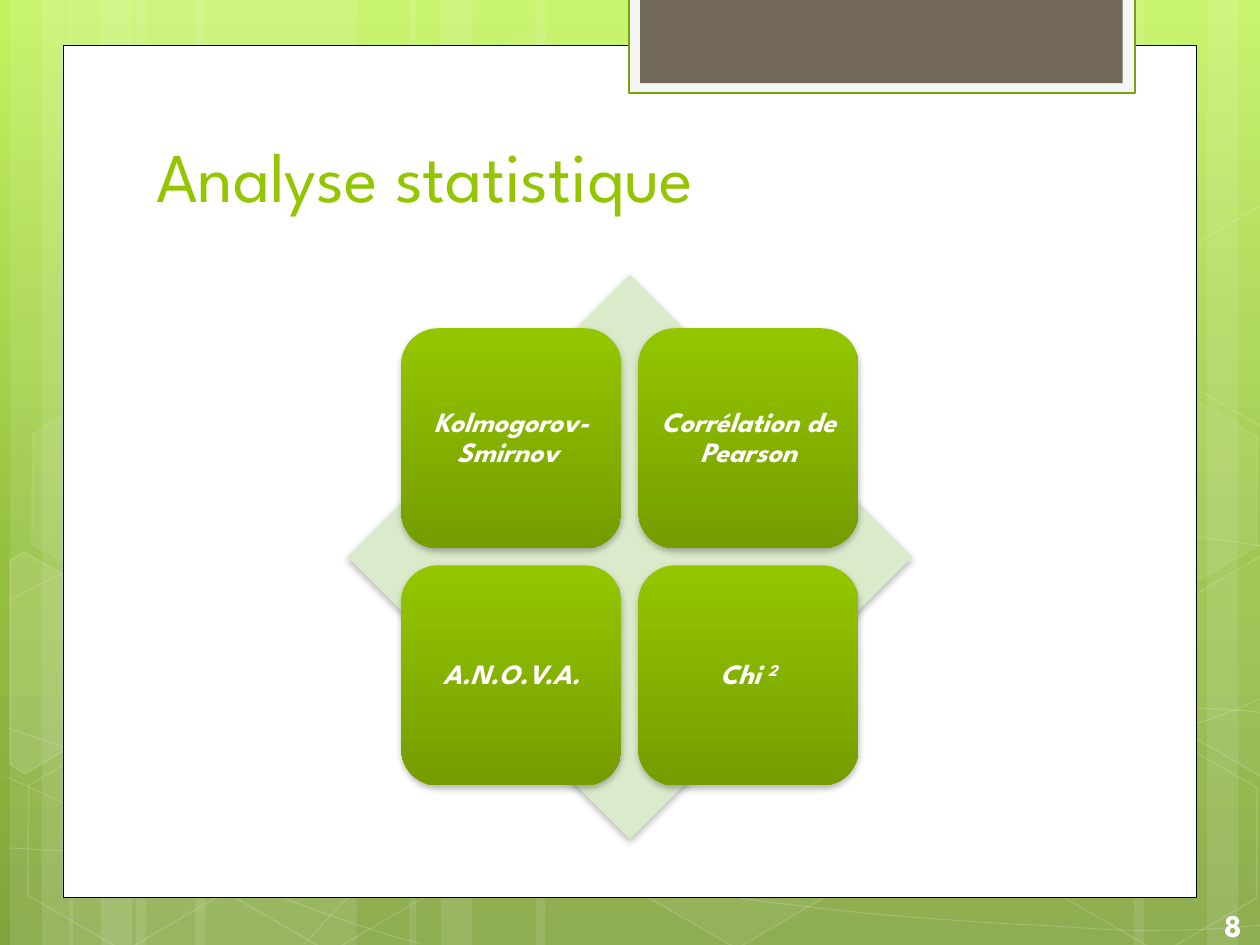
import dataclasses

import lxml.etree
import pptx
import pptx.dml.color
import pptx.enum.shapes
import pptx.enum.text
import pptx.oxml.ns
import pptx.util

Inches = pptx.util.Inches
Pt = pptx.util.Pt
Kind = pptx.enum.shapes.MSO_SHAPE
Align = pptx.enum.text.PP_ALIGN
Anchor = pptx.enum.text.MSO_ANCHOR
qn = pptx.oxml.ns.qn


@dataclasses.dataclass(frozen=True)
class Theme:
    font: str = "League Spartan"
    white: str = "FFFFFF"
    black: str = "000000"
    green: str = "94C600"
    deep: str = "769D00"
    edge: str = "74A510"
    pale: str = "DCEACC"
    frame: str = "F5F5F5"
    brown: str = "71685A"
    sky: tuple = ((0, "C3F35F"), (0.62, "93BF3F"), (1, "81A53E"))
    head: int = 40
    page: int = 18
    label: int = 16


@dataclasses.dataclass(frozen=True)
class Box:
    x: float
    y: float
    w: float
    h: float

    def place(self):
        return [Inches(v) for v in (self.x, self.y, self.w, self.h)]


THEME = Theme()

# Left edge and width of each light bar
BARS = [(left + shift, width) for shift in (0, 0.47)
        for left, width in ((1.08, 1.75), (0.08, 0.5), (0.33, 0.83))]
BARS += [(7.33, 1.75), (9.58, 0.5), (9, 0.83), (4.25, 3.08), (3.25, 0.5), (3.5, 0.83)]

# Start point, then two handles and an end point for each Bézier piece
WAVES = [
    [(0.07, 6.73), (0.61, 6.76), (1.15, 6.79), (1.9, 6.78), (2.65, 6.77), (3.58, 6.75),
     (4.58, 6.65), (5.58, 6.55), (7, 6.36), (7.92, 6.17), (8.83, 5.98), (9.77, 5.68),
     (10.07, 5.51)],
    [(0.07, 4.77), (0.36, 4.61), (0.65, 4.46), (1.21, 4.31), (1.78, 4.16), (2.59, 3.94),
     (3.47, 3.87), (4.36, 3.8), (5.44, 3.79), (6.54, 3.87), (7.64, 3.95), (9.47, 4.26),
     (10.07, 4.34)],
    [(0.06, 6.17), (1.27, 6.72), (2.47, 7.27), (3.34, 7.49)],
    [(0.07, 5.78), (0.38, 5.89), (0.7, 6), (1.28, 6.16), (1.86, 6.31), (2.73, 6.56),
     (3.57, 6.73), (4.4, 6.9), (5.45, 7.08), (6.28, 7.18), (7.11, 7.29), (8, 7.33),
     (8.53, 7.36), (9.05, 7.4), (9.19, 7.38), (9.45, 7.38), (9.71, 7.37), (9.89, 7.35),
     (10.07, 7.34)],
    [(2.42, 7.49), (2.6, 7.29), (2.78, 7.09), (3.02, 6.91), (3.26, 6.73), (3.6, 6.53),
     (3.88, 6.39), (4.16, 6.25), (4.33, 6.19), (4.7, 6.09), (5.06, 5.99), (5.73, 5.85),
     (6.08, 5.78), (6.44, 5.71), (6.49, 5.71), (6.8, 5.69), (7.11, 5.66), (7.6, 5.63),
     (7.94, 5.62), (8.29, 5.61), (8.86, 5.62), (8.86, 5.62), (9.08, 5.62), (9.31, 5.62),
     (9.53, 5.62), (9.71, 5.63), (9.88, 5.64), (9.97, 5.65), (10.06, 5.66), (10.03, 5.65),
     (10.06, 5.66)],
]

# Left, top, fill opacity and line opacity of each hexagon
CELLS = [(3.34, 0.36, 4, 8), (4.97, 5.89, 6, 12), (0.11, 5.91, 0, 12),
         (0.14, 3.12, 7, 8), (1.74, 5.92, 0, 12), (7.53, 4.53, 10, 12),
         (8.34, 5.93, 0, 12), (8.34, 3.14, 7, 8)]

# Hexagons cut off by the slide's edge: corners and fill opacity
CUTS = [
    ([(0.08, 4.45), (0.19, 4.38), (0.96, 4.82), (0.95, 5.7), (0.2, 6.14), (0.08, 6.07)], 10),
    ([(9.26, 4.85), (10.01, 4.41), (10.09, 4.46), (10.09, 6.13), (10.02, 6.17),
      (9.26, 5.73)], 4),
    ([(9.26, 2.07), (10.01, 1.63), (10.1, 1.68), (10.09, 3.35), (10.02, 3.39),
      (9.26, 2.95)], 0),
]

LABELS = [[("Kolmogorov-Smirnov ", 0)], [("Corrélation de Pearson", 0)],
          [("A.N.O.V.A.", 0)], [("Chi ", 0), ("2", 30)]]


def tint(fill, color, alpha=100):
    """Fill with one colour at a percentage of opacity; 0 means no fill."""
    if not alpha:
        fill.background()
        return
    fill.solid()
    fill.fore_color.rgb = pptx.dml.color.RGBColor.from_string(color)
    if alpha < 100:
        node = fill._xPr.find(".//" + qn("a:srgbClr"))
        lxml.etree.SubElement(node, qn("a:alpha"), val=str(alpha * 1000))


def blend(fill, stops):
    """Fill with a gradient from top to bottom."""
    fill.gradient()
    fill.gradient_angle = 270
    nodes = fill._fill._gradFill.find(qn("a:gsLst"))
    for node in list(nodes):
        nodes.remove(node)
    for spot, color in stops:
        stop = lxml.etree.SubElement(nodes, qn("a:gs"), pos=str(round(spot * 100000)))
        lxml.etree.SubElement(stop, qn("a:srgbClr"), val=color)


def style(shape, color=THEME.white, alpha=100, line=None, width=1, clear=100):
    shape.shadow.inherit = False
    tint(shape.fill, color, alpha)
    if line:
        tint(shape.line.fill, line, clear)
        shape.line.width = Pt(width)
    else:
        shape.line.fill.background()
    return shape


def shade(shape):
    """Add a soft shadow below the shape."""
    drop = lxml.etree.SubElement(
        shape._element.spPr.find(qn("a:effectLst")), qn("a:outerShdw"),
        blurRad=str(Pt(4)), dist=str(Pt(2)), dir="5400000", rotWithShape="0")
    color = lxml.etree.SubElement(drop, qn("a:srgbClr"), val=THEME.black)
    lxml.etree.SubElement(color, qn("a:alpha"), val="28000")


def write(para, text, size, color, bold=False, slant=False, rise=0):
    run = para.add_run()
    run.text = text
    font = run.font
    font.name, font.size, font.bold, font.italic = THEME.font, Pt(size), bold, slant
    font.color.rgb = pptx.dml.color.RGBColor.from_string(color)
    if rise:
        run._r.get_or_add_rPr().set("baseline", str(rise * 1000))


def trace(slide, box, knots, close):
    first, *rest = [(Inches(box.x + x), Inches(box.y + y)) for x, y in knots]
    pen = slide.shapes.build_freeform(*first)
    pen.add_line_segments(rest, close=close)
    return pen.convert_to_shape()


def bend(shape):
    """Turn each three straight pieces of the outline into one Bézier piece."""
    route = shape._element.find(".//" + qn("a:path"))
    lines = route.findall(qn("a:lnTo"))
    for i in range(0, len(lines), 3):
        piece = lxml.etree.SubElement(route, qn("a:cubicBezTo"))
        for line in lines[i:i + 3]:
            piece.append(line[0])
            route.remove(line)
    return shape


def scene(slide, box):
    """Draw the backdrop of bars, waves and hexagons."""
    blend(slide.background.fill, THEME.sky)
    add = slide.shapes.add_shape
    for left, width in BARS:
        bar = Box(box.x + left, box.y, width, box.h)
        style(add(Kind.RECTANGLE, *bar.place()), alpha=10)
    for knots in WAVES:
        wave = bend(trace(slide, box, knots, False))
        style(wave, alpha=0, line=THEME.white, width=0.5, clear=20)
    for left, top, alpha, clear in CELLS:
        spot = Box(box.x + left, box.y + top, 1.75, 1.52)
        cell = add(Kind.HEXAGON, *spot.place())
        cell.adjustments[0], cell.adjustments[1] = 0.285, 1.155
        cell.rotation = 30
        style(cell, alpha=alpha, line=THEME.white, clear=clear)
    for knots, alpha in CUTS:
        style(trace(slide, box, knots, True), alpha=alpha, line=THEME.white, clear=12)


def sheet(slide, box):
    """Draw the white page with its tab at the top."""
    add = slide.shapes.add_shape
    style(add(Kind.RECTANGLE, *box.place()), line=THEME.black, width=0.5)
    tab = Box(box.x + 4.49, box.y - 0.38, 4.02, 0.76)
    style(add(Kind.RECTANGLE, *tab.place()), THEME.frame, line=THEME.edge, width=1.25)
    core = Box(tab.x + 0.09, tab.y, tab.w - 0.19, tab.h - 0.08)
    style(add(Kind.RECTANGLE, *core.place()), THEME.brown)


def title(slide, box):
    head = slide.shapes.title
    slide.shapes._spTree.append(head._element)
    head.left, head.top, head.width, head.height = box.place()
    frame = head.text_frame
    frame.vertical_anchor = Anchor.BOTTOM
    frame.auto_size = pptx.enum.text.MSO_AUTO_SIZE.NONE
    frame.paragraphs[0].alignment = Align.LEFT
    write(frame.paragraphs[0], "Analyse statistique", THEME.head, THEME.green)


def page(slide, box):
    frame = slide.shapes.add_textbox(*box.place()).text_frame
    frame.word_wrap = True
    frame.paragraphs[0].alignment = Align.CENTER
    write(frame.paragraphs[0], "8", THEME.page, THEME.white, bold=True)


def matrix(slide, box):
    """Draw four cards, two by two, over a diamond."""
    add = slide.shapes.add_shape
    shade(style(add(Kind.DIAMOND, *box.place()), THEME.pale))
    side, edge, step = (box.w * part for part in (0.39, 0.095, 0.42))
    for i, label in enumerate(LABELS):
        row, col = divmod(i, 2)
        spot = Box(box.x + edge + col * step, box.y + edge + row * step, side, side)
        card = style(add(Kind.ROUNDED_RECTANGLE, *spot.place()))
        blend(card.fill, ((0, THEME.green), (1, THEME.deep)))
        shade(card)
        frame = card.text_frame
        frame.word_wrap = True
        frame.vertical_anchor = Anchor.MIDDLE
        frame.margin_left = frame.margin_right = Inches(0.07)
        frame.margin_top = frame.margin_bottom = Inches(0.07)
        para = frame.paragraphs[0]
        para.alignment, para.line_spacing = Align.CENTER, 0.9
        for text, rise in label:
            write(para, text, THEME.label, THEME.white, bold=True, slant=True, rise=rise)


def main():
    deck = pptx.Presentation()
    deck.slide_width, deck.slide_height = Inches(10), Inches(7.5)
    slide = deck.slides.add_slide(deck.slide_layouts[5])
    scene(slide, Box(0, 0, 10, 7.5))
    sheet(slide, Box(0.5, 0.36, 9, 6.76))
    title(slide, Box(1.14, 0.52, 7.68, 1.25))
    page(slide, Box(9.57, 7.14, 0.43, 0.4))
    matrix(slide, Box(2.76, 2.18, 4.48, 4.48))
    deck.save("out.pptx")


if __name__ == "__main__":
    main()
